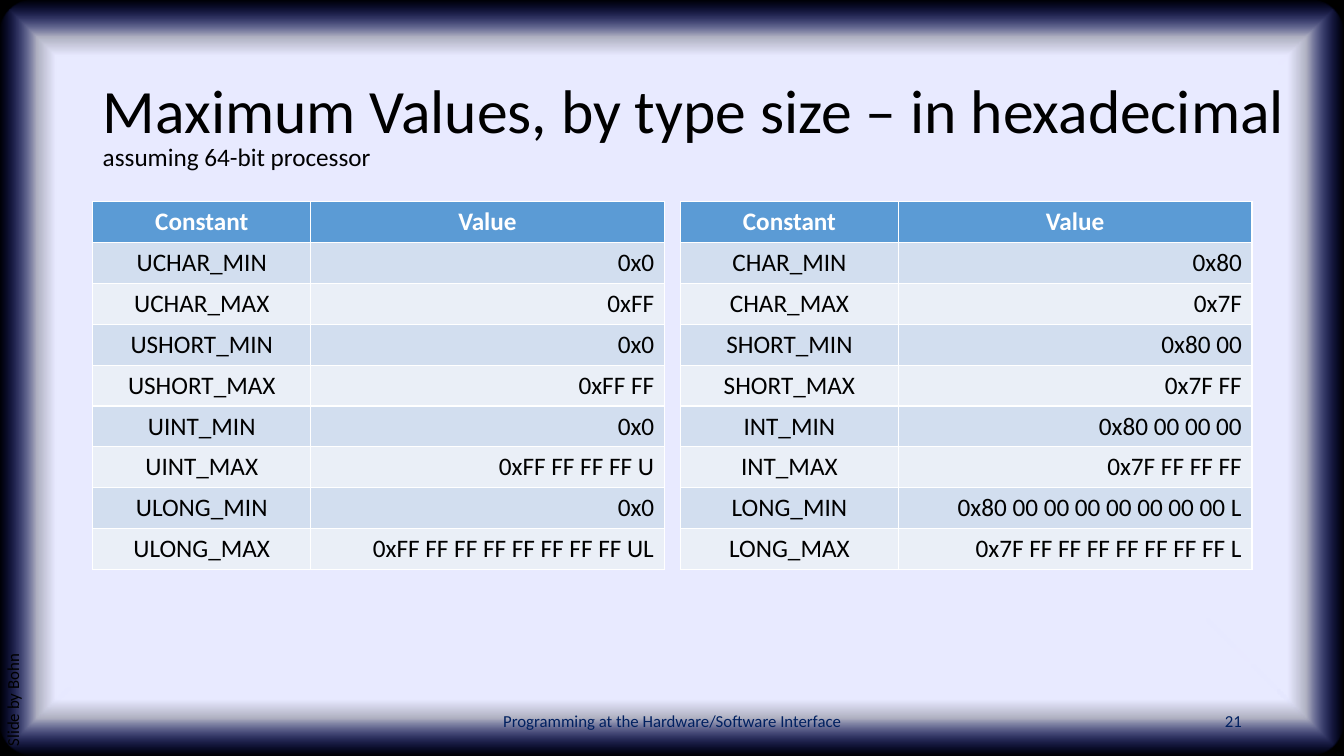
from dataclasses import dataclass

from pptx import Presentation
from pptx.dml.color import RGBColor
from pptx.enum.shapes import MSO_SHAPE
from pptx.enum.text import MSO_ANCHOR, PP_ALIGN
from pptx.oxml import parse_xml
from pptx.oxml.ns import nsdecls, qn
from pptx.slide import Slide
from pptx.text.text import _Paragraph as Para
from pptx.util import Cm, Pt

RECT, ROUND = MSO_SHAPE.RECTANGLE, MSO_SHAPE.ROUNDED_RECTANGLE
LEFT, CENTER, RIGHT = PP_ALIGN.LEFT, PP_ALIGN.CENTER, PP_ALIGN.RIGHT
TOP, MIDDLE = MSO_ANCHOR.TOP, MSO_ANCHOR.MIDDLE

BLACK = RGBColor(0x00, 0x00, 0x00)
WHITE = RGBColor(0xFF, 0xFF, 0xFF)
NAVY = RGBColor(0x00, 0x20, 0x60)
HEAD = RGBColor(0x5B, 0x9B, 0xD5)
BANDS = RGBColor(0xD2, 0xDE, 0xEF), RGBColor(0xEA, 0xEF, 0xF7)
PALE = RGBColor(0xE8, 0xEA, 0xFF)
BLUE = RGBColor(0x16, 0x2A, 0xFF)

FONT = "Calibri"
WIDTH, HEIGHT = Cm(33.87), Cm(19.05)
EDGE = 2.34
ROW = 1.03
COLS = 5.49, 8.91
TABLE_TOP = 5.08


@dataclass
class Label:
    text: str
    left: float
    top: float
    width: float
    height: float
    size: int
    color: RGBColor = BLACK
    align: PP_ALIGN = LEFT
    anchor: MSO_ANCHOR = MIDDLE
    wrap: bool = True
    turn: int = 0
    lines: float = 1.0


@dataclass
class Grid:
    left: float
    rows: list[tuple[str, str]]


@dataclass
class Stop:
    place: int
    color: RGBColor
    alpha: int


LABELS = [
    Label("Maximum Values, by type size – in hexadecimal",
          EDGE, 1.02, 30.35, 3.68, 44, wrap=False, lines=0.9),
    Label("Programming at the Hardware/Software Interface",
          11.23, 17.65, 11.43, 1.02, 12, NAVY, CENTER),
    Label("21", 23.93, 17.65, 7.62, 1.02, 12, NAVY, RIGHT),
    Label("Slide by Bohn", -6.2, 11.84, 13.41, 1.02, 12,
          anchor=TOP, turn=270, lines=0.9),
    Label("assuming 64-bit processor", EDGE, 3.43, 7.39, 1.02, 18,
          anchor=TOP, wrap=False),
]

GRIDS = [
    Grid(EDGE, [
        ("UCHAR_MIN", "0x0"),
        ("UCHAR_MAX", "0xFF"),
        ("USHORT_MIN", "0x0"),
        ("USHORT_MAX", "0xFF FF"),
        ("UINT_MIN", "0x0"),
        ("UINT_MAX", "0xFF FF FF FF U"),
        ("ULONG_MIN", "0x0"),
        ("ULONG_MAX", "0xFF FF FF FF FF FF FF FF UL"),
    ]),
    Grid(17.15, [
        ("CHAR_MIN", "0x80"),
        ("CHAR_MAX", "0x7F"),
        ("SHORT_MIN", "0x80 00"),
        ("SHORT_MAX", "0x7F FF"),
        ("INT_MIN", "0x80 00 00 00"),
        ("INT_MAX", "0x7F FF FF FF"),
        ("LONG_MIN", "0x80 00 00 00 00 00 00 00 L"),
        ("LONG_MAX", "0x7F FF FF FF FF FF FF FF L"),
    ]),
]

GLOW = [Stop(85, PALE, 100), Stop(90, PALE, 75), Stop(100, BLUE, 0)]


def write(para: Para, text: str, size: int, color: RGBColor,
          align: PP_ALIGN, bold: bool = False) -> None:
    para.text = text
    para.alignment = align
    font = para.font
    font.name, font.size, font.bold = FONT, Pt(size), bold
    font.color.rgb = color


def draw_frame(slide: Slide) -> None:
    """Cover the slide in black, then with a pale panel that fades at its rim."""
    for kind in (RECT, ROUND):
        panel = slide.shapes.add_shape(kind, 0, 0, WIDTH, HEIGHT)
        panel.shadow.inherit = False
        panel.line.fill.background()
        panel.fill.solid()
        panel.fill.fore_color.rgb = BLACK
    panel.adjustments[0] = 0.048
    stops = "".join(
        f'<a:gs pos="{stop.place * 1000}"><a:srgbClr val="{stop.color}">'
        f'<a:alpha val="{stop.alpha * 1000}"/></a:srgbClr></a:gs>'
        for stop in GLOW)
    fade = parse_xml(
        f'<a:gradFill {nsdecls("a")} rotWithShape="1"><a:gsLst>{stops}</a:gsLst>'
        '<a:path path="shape"><a:fillToRect l="50000" t="50000" r="50000" '
        'b="50000"/></a:path></a:gradFill>')
    props = panel.element.spPr
    props.replace(props.find(qn("a:solidFill")), fade)


def draw_label(slide: Slide, label: Label) -> None:
    box = slide.shapes.add_textbox(Cm(label.left), Cm(label.top),
                                   Cm(label.width), Cm(label.height))
    box.rotation = label.turn
    frame = box.text_frame
    frame.word_wrap = label.wrap
    frame.vertical_anchor = label.anchor
    para = frame.paragraphs[0]
    write(para, label.text, label.size, label.color, label.align)
    para.line_spacing = label.lines


def draw_grid(slide: Slide, grid: Grid) -> None:
    rows = [("Constant", "Value"), *grid.rows]
    table = slide.shapes.add_table(
        len(rows), len(COLS), Cm(grid.left), Cm(TABLE_TOP),
        Cm(sum(COLS)), Cm(ROW * len(rows))).table
    for col, width in zip(table.columns, COLS):
        col.width = Cm(width)
    for r, row in enumerate(rows):
        table.rows[r].height = Cm(ROW)
        top = r == 0
        for c, text in enumerate(row):
            cell = table.cell(r, c)
            cell.fill.solid()
            cell.fill.fore_color.rgb = HEAD if top else BANDS[(r - 1) % 2]
            write(cell.text_frame.paragraphs[0], text, 18,
                  WHITE if top else BLACK,
                  CENTER if top or c == 0 else RIGHT, top)


def main() -> None:
    deck = Presentation()
    deck.slide_width, deck.slide_height = WIDTH, HEIGHT
    slide = deck.slides.add_slide(deck.slide_layouts[6])
    draw_frame(slide)
    for label in LABELS:
        draw_label(slide, label)
    for grid in GRIDS:
        draw_grid(slide, grid)
    deck.save("out.pptx")


if __name__ == "__main__":
    main()
